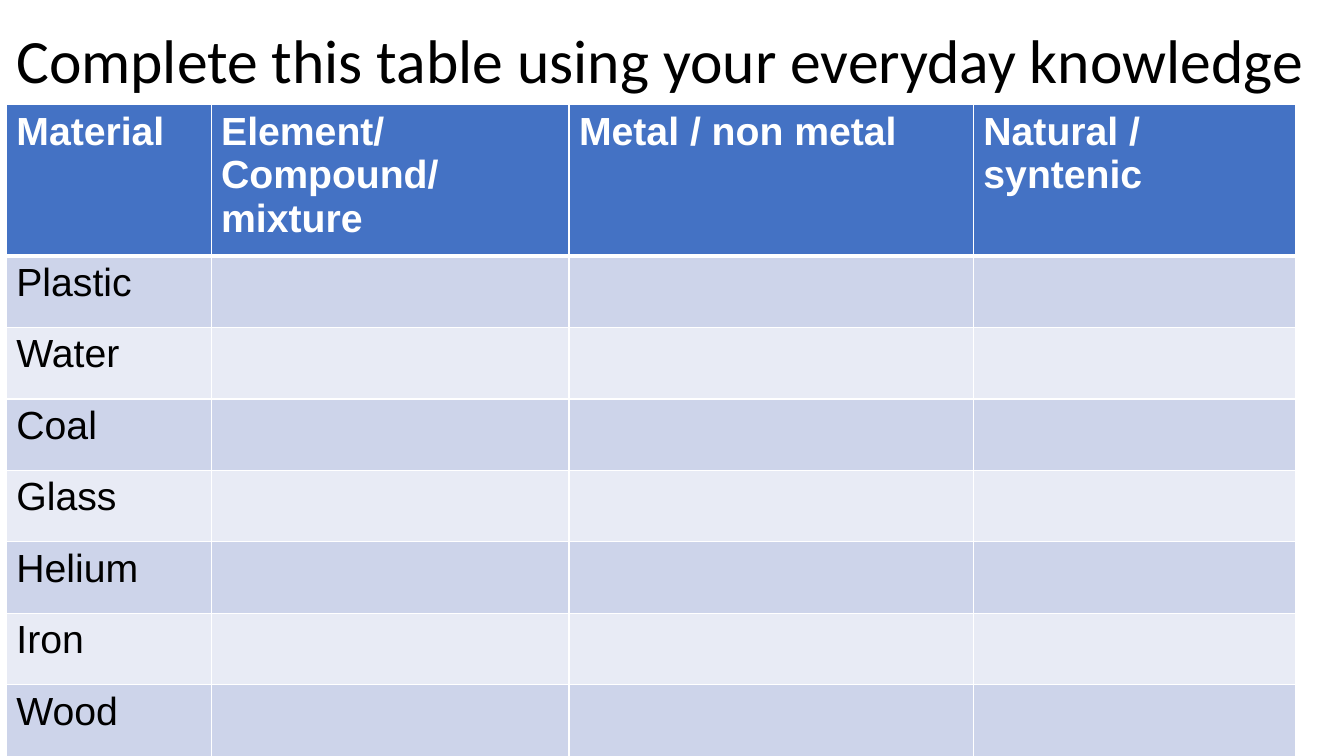
from dataclasses import dataclass

from lxml.etree import SubElement
from pptx import Presentation
from pptx.dml.color import RGBColor
from pptx.enum.text import MSO_ANCHOR
from pptx.oxml.ns import qn
from pptx.util import Cm, Pt


@dataclass(frozen=True)
class Theme:
    title_font: str = "Calibri"
    table_font: str = "Arial"
    title_size: int = 44
    table_size: int = 28
    text: str = "000000"
    white: str = "FFFFFF"
    header: str = "4472C4"
    dark_band: str = "CDD4EA"
    light_band: str = "E8EBF5"


theme = Theme()


def write_text(text_frame, text, font, size, color, bold=False, line_spacing=None):
    text_frame.word_wrap = True
    paragraph = text_frame.paragraphs[0]
    paragraph.line_spacing = line_spacing
    run = paragraph.add_run()
    run.text = text
    run.font.name = font
    run.font.size = Pt(size)
    run.font.bold = bold
    run.font.color.rgb = RGBColor.from_string(color)


def add_border(cell, side, width):
    properties = cell._tc.get_or_add_tcPr()
    line = SubElement(properties, qn(f"a:ln{side}"), w=str(Pt(width)))
    fill = SubElement(line, qn("a:solidFill"))
    SubElement(fill, qn("a:srgbClr"), val=theme.white)


presentation = Presentation()
presentation.slide_width = Cm(33.87)
presentation.slide_height = Cm(19.05)
slide = presentation.slides.add_slide(presentation.slide_layouts[6])

# Title
title = slide.shapes.add_textbox(Cm(0.16), Cm(-0.23), Cm(33.71), Cm(3.68))
title.text_frame.vertical_anchor = MSO_ANCHOR.MIDDLE
write_text(title.text_frame, "Complete this table using your everyday knowledge",
           font=theme.title_font, size=theme.title_size, color=theme.text,
           line_spacing=0.9)

# Table content and sizes
headings = ["Material", "Element/ Compound/ mixture", "Metal / non metal",
            "Natural / syntenic"]
materials = ["Plastic", "Water", "Coal", "Glass", "Helium", "Iron", "Wood"]
rows = [headings] + [[material, "", "", ""] for material in materials]
column_widths = [5.16, 9.02, 10.19, 8.13]
header_height, row_height = 3.1, 1.8

table = slide.shapes.add_table(
    len(rows), len(headings), Cm(0.16), Cm(2.64), Cm(sum(column_widths)),
    Cm(header_height + row_height * len(materials))).table
for column, width in zip(table.columns, column_widths):
    column.width = Cm(width)

# Cells: header row, then alternating bands
for row_index, values in enumerate(rows):
    is_header = row_index == 0
    table.rows[row_index].height = Cm(header_height if is_header else row_height)
    if is_header:
        band = theme.header
    else:
        band = theme.dark_band if row_index % 2 else theme.light_band
    border_widths = {"L": 1, "R": 1, "T": 3 if row_index == 1 else 1,
                     "B": 3 if is_header else 1}
    for column_index, value in enumerate(values):
        cell = table.cell(row_index, column_index)
        for side, width in border_widths.items():
            add_border(cell, side, width)
        cell.fill.solid()
        cell.fill.fore_color.rgb = RGBColor.from_string(band)
        if value:
            write_text(cell.text_frame, value, font=theme.table_font,
                       size=theme.table_size, bold=is_header,
                       color=theme.white if is_header else theme.text)

presentation.save("out.pptx")
